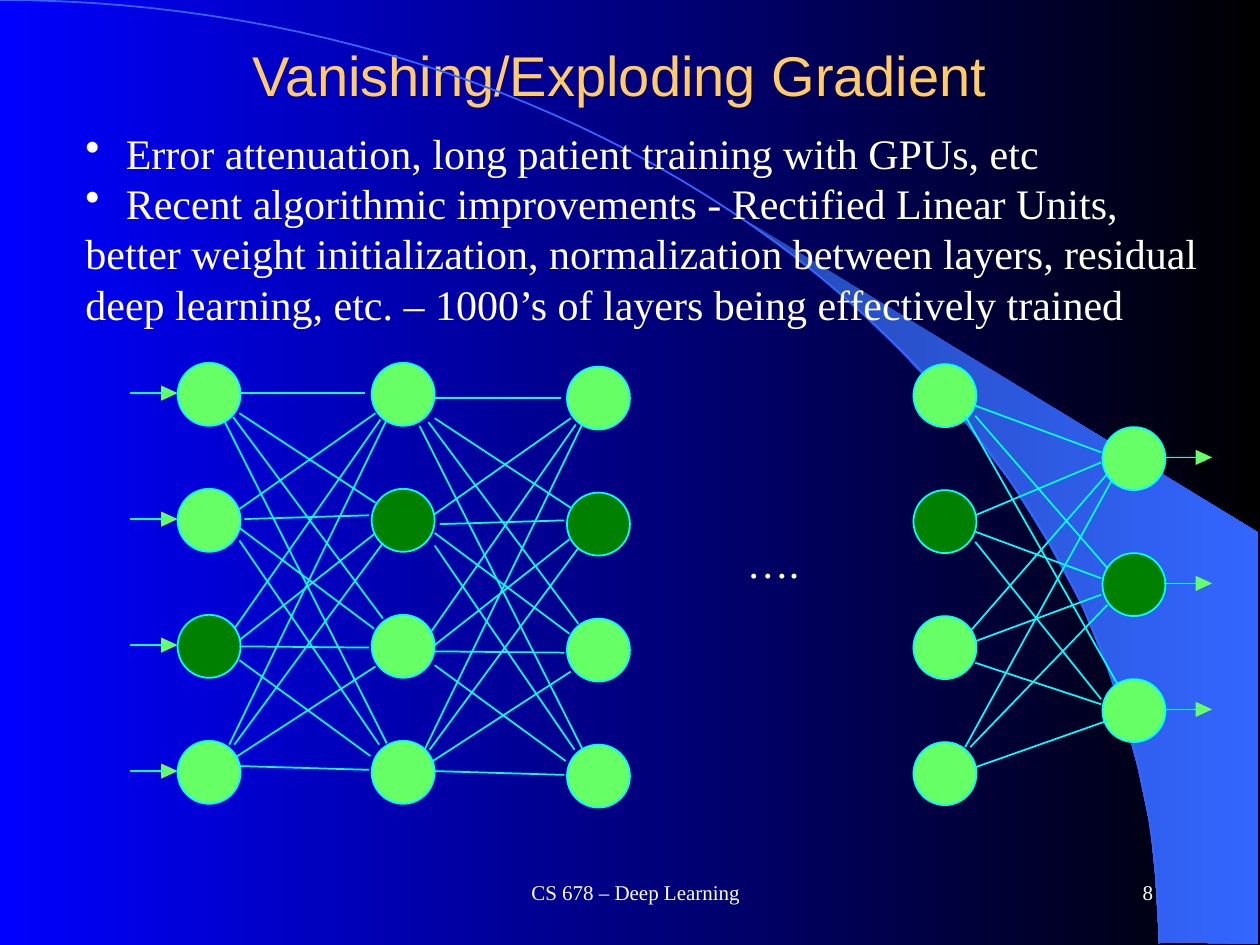
"""Build the Vanishing/Exploding Gradient slide with its layered network."""
import math

from lxml import etree
from pptx import Presentation
from pptx.dml.color import RGBColor
from pptx.enum.shapes import MSO_CONNECTOR, MSO_SHAPE
from pptx.enum.text import MSO_ANCHOR, MSO_AUTO_SIZE, PP_ALIGN
from pptx.oxml.ns import qn
from pptx.util import Inches, Pt

STRAIGHT = MSO_CONNECTOR.STRAIGHT
ELLIPSE = MSO_SHAPE.OVAL
TOP, MIDDLE = MSO_ANCHOR.TOP, MSO_ANCHOR.MIDDLE
LEFT, CENTER, RIGHT = PP_ALIGN.LEFT, PP_ALIGN.CENTER, PP_ALIGN.RIGHT
NO_FIT = MSO_AUTO_SIZE.NONE

THEME = {
    "title": "FFCC66", "text": "FFFFFF", "node": "66FF66", "dark_node": "008000",
    "link": "00FFFF", "arc": "3366FF",
    "background": ("0000FF", "000000"), "beam": ("2449B6", "3366FF"),
    "title_font": "Arial", "body_font": "Times New Roman",
    "title_size": 32, "body_size": 24, "footer_size": 12, "line_pitch": 28.8,
}

TITLE = "Vanishing/Exploding Gradient"
BODY = [
    ("Error attenuation, long patient training with GPUs, etc", True),
    ("Recent algorithmic improvements - Rectified Linear Units,", True),
    ("better weight initialization, normalization between layers, residual", False),
    ("deep learning, etc. – 1000’s of layers being effectively trained", False),
]
FOOTER = "CS 678 – Deep Learning"
PAGE_NUMBER = "8"
ELLIPSIS = "…."

NODE_SIZE, NODE_PITCH = 0.5, 1
LAYERS = [
    {"left": 1.41, "top": 2.88, "count": 4, "dark": 2},
    {"left": 2.95, "top": 2.88, "count": 4, "dark": 1},
    {"left": 4.5, "top": 2.91, "count": 4, "dark": 1},
    {"left": 7.25, "top": 2.89, "count": 4, "dark": 1},
    {"left": 8.75, "top": 3.39, "count": 3, "dark": 1},
]

HIDDEN_LINKS = [
    (1.9, 3.12, 2.9, 3.12), (1.9, 4.04, 2.98, 3.28),
    (1.86, 4.99, 3.02, 3.33), (1.82, 5.91, 3.07, 3.33),
    (1.9, 3.28, 2.98, 3.99), (1.94, 4.12, 2.93, 4.09),
    (1.9, 5.08, 2.97, 4.24), (1.86, 5.91, 3.04, 4.31),
    (1.85, 3.31, 3.04, 4.91), (1.9, 4.19, 2.97, 4.99),
    (1.9, 5.13, 2.93, 5.14), (1.87, 6.01, 2.98, 5.29),
    (1.78, 3.34, 3.07, 5.9), (1.9, 4.29, 3.01, 5.91),
    (1.9, 5.24, 2.94, 6), (1.9, 6.08, 2.93, 6.11),
]
OUTPUT_LINKS = [
    (7.74, 3.22, 8.74, 3.59), (7.74, 4.09, 8.74, 3.67),
    (7.7, 5.01, 8.79, 3.76), (7.66, 5.93, 8.83, 3.8),
    (7.74, 3.3, 8.79, 4.51), (7.74, 4.22, 8.74, 4.59),
    (7.74, 5.09, 8.74, 4.72), (7.7, 5.93, 8.79, 4.8),
    (7.66, 3.3, 8.87, 5.43), (7.74, 4.3, 8.74, 5.55),
    (7.74, 5.26, 8.74, 5.59), (7.74, 6.09, 8.79, 5.72),
]
LINK_GROUPS = [
    (HIDDEN_LINKS, 0, 0),
    (HIDDEN_LINKS, 1.55, 0.04),
    (OUTPUT_LINKS, 0, 0),
]
ARROW_GROUPS = [
    {"left": 1.03, "top": 3.12, "count": 4},
    {"left": 9.24, "top": 3.63, "count": 3},
]
SHAFT, HEAD_START, HEAD_END, HEAD_HALF = 0.26, 0.25, 0.38, 0.06

BEAM = [
    (9.2, 7.48), (9.99, 7.49), (9.99, 4.23), (5.89, 1.73), (6.24, 1.99),
    (6.53, 2.22), (6.85, 2.5), (7.16, 2.8), (7.62, 3.3), (8.03, 3.84),
    (8.32, 4.31), (8.58, 4.79), (8.78, 5.28), (8.93, 5.72), (9.03, 6.09),
    (9.13, 6.56), (9.17, 6.96),
]
ARC_WIDTH, ARC_HEIGHT, ARC_STEPS = 9.2, 7.49, 60


def color(name):
    return RGBColor.from_string(THEME[name])


def fill_gradient(fill, name):
    fill.gradient()
    fill.gradient_angle = 0
    for stop, value, position in zip(fill.gradient_stops, THEME[name], (0, 1)):
        stop.color.rgb = RGBColor.from_string(value)
        stop.position = position


def paint(shape, fill=None, line=None):
    shape.shadow.inherit = False
    if fill:
        shape.fill.solid()
        shape.fill.fore_color.rgb = color(fill)
    else:
        shape.fill.background()
    if line:
        shape.line.color.rgb = color(line)
        shape.line.width = Pt(1)
    else:
        shape.line.fill.background()


def add_outline(page, points, close=True):
    corners = [(Inches(x), Inches(y)) for x, y in points]
    builder = page.shapes.build_freeform(*corners[0])
    builder.add_line_segments(corners[1:], close=close)
    return builder.convert_to_shape()


def add_link(page, x1, y1, x2, y2):
    link = page.shapes.add_connector(STRAIGHT, *map(Inches, (x1, y1, x2, y2)))
    link.line.color.rgb = color("link")
    link.line.width = Pt(1)
    etree.SubElement(link._element.spPr, qn("a:effectLst"))


def add_arrow(page, left, y):
    start, tip = left + HEAD_START, left + HEAD_END
    head = [(start, y - HEAD_HALF), (tip, y), (start, y + HEAD_HALF)]
    paint(add_outline(page, head), fill="node")
    add_link(page, left, y, left + SHAFT, y)


def set_bullet(para):
    props = para._p.get_or_add_pPr()
    props.set("marL", str(Inches(0.32)))
    props.set("indent", str(-Inches(0.32)))
    etree.SubElement(props, qn("a:buChar")).set("char", "•")


def write_text(text, box, place, size, font="body_font", ink="text",
               align=LEFT, anchor=TOP, wrap=True, pitch=None):
    box.left, box.top, box.width, box.height = map(Inches, place)
    frame = box.text_frame
    frame.auto_size = NO_FIT
    frame.word_wrap = wrap
    frame.vertical_anchor = anchor
    lines = [(text, False)] if isinstance(text, str) else text
    for index, (words, bulleted) in enumerate(lines):
        para = frame.add_paragraph() if index else frame.paragraphs[0]
        para.alignment = align
        if pitch:
            para.line_spacing = Pt(pitch)
        if bulleted:
            set_bullet(para)
        span = para.add_run()
        span.text = words
        span.font.name = THEME[font]
        span.font.size = Pt(THEME[size])
        span.font.color.rgb = color(ink)


def add_text(page, text, place, size, **style):
    box = page.shapes.add_textbox(*map(Inches, place))
    write_text(text, box, place, size, **style)


def main():
    deck = Presentation()
    deck.slide_width, deck.slide_height = Inches(10), Inches(7.5)
    page = deck.slides.add_slide(deck.slide_layouts[5])
    fill_gradient(page.background.fill, "background")

    beam = add_outline(page, BEAM)
    paint(beam)
    fill_gradient(beam.fill, "beam")
    angles = [step * math.pi / 2 / ARC_STEPS for step in range(ARC_STEPS + 1)]
    arc = [(ARC_WIDTH * math.sin(a), ARC_HEIGHT * (1 - math.cos(a))) for a in angles]
    paint(add_outline(page, arc, close=False), line="arc")

    write_text(TITLE, page.shapes.title, (0.67, 0.25, 8.5, 0.67), "title_size",
               font="title_font", ink="title", align=CENTER, anchor=MIDDLE)
    add_text(page, FOOTER, (3.17, 6.83, 3.75, 0.5), "footer_size",
             align=CENTER, anchor=MIDDLE)
    add_text(page, PAGE_NUMBER, (7.17, 6.83, 2.08, 0.5), "footer_size",
             align=RIGHT, anchor=MIDDLE)

    for layer in LAYERS:
        for row in range(layer["count"]):
            place = (layer["left"], layer["top"] + row * NODE_PITCH, NODE_SIZE, NODE_SIZE)
            node = page.shapes.add_shape(ELLIPSE, *map(Inches, place))
            paint(node, "dark_node" if row == layer["dark"] else "node", "link")
    for links, dx, dy in LINK_GROUPS:
        for x1, y1, x2, y2 in links:
            add_link(page, x1 + dx, y1 + dy, x2 + dx, y2 + dy)
    for group in ARROW_GROUPS:
        for row in range(group["count"]):
            add_arrow(page, group["left"], group["top"] + row * NODE_PITCH)

    add_text(page, ELLIPSIS, (5.83, 4.21, 0.62, 0.5), "body_size", wrap=False)
    add_text(page, BODY, (0.58, 0.96, 9.12, 2.12), "body_size",
             pitch=THEME["line_pitch"])
    deck.save("out.pptx")


if __name__ == "__main__":
    main()
